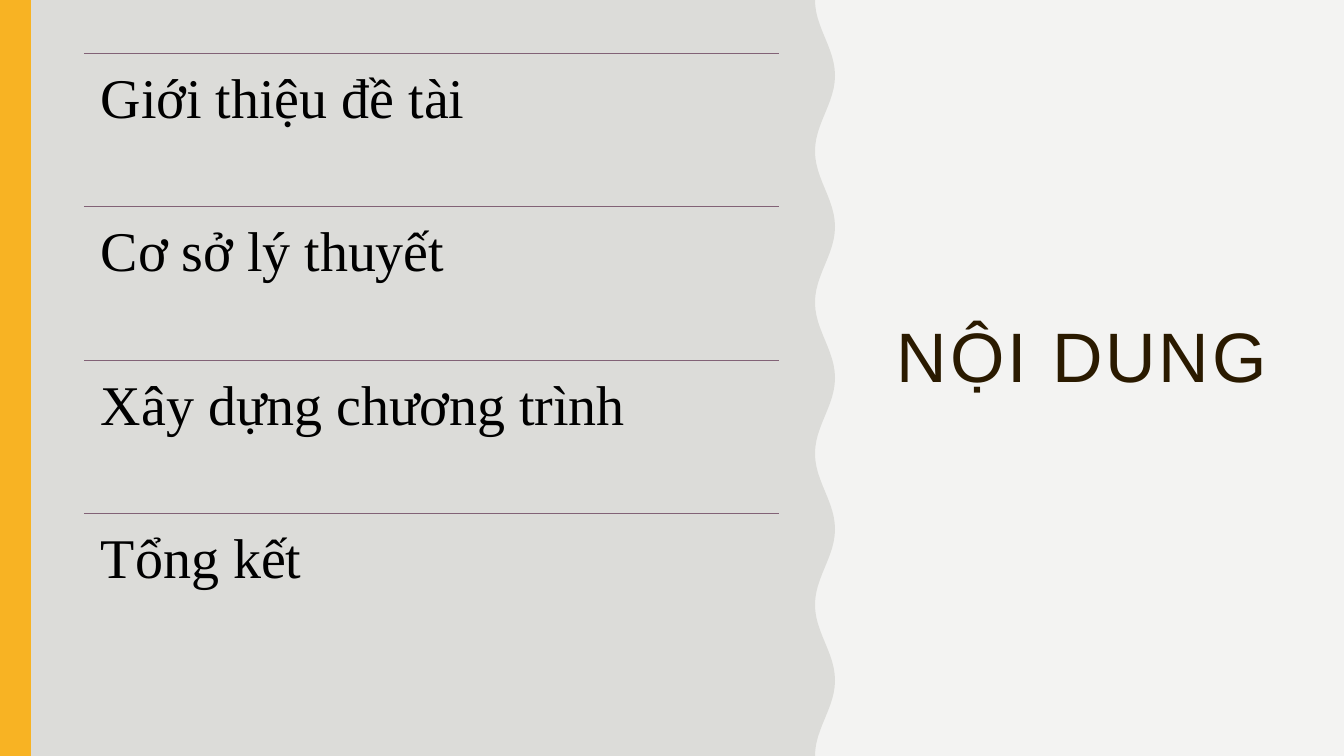
from dataclasses import dataclass
from math import cos, pi

from lxml import etree
from pptx import Presentation
from pptx.dml.color import RGBColor
from pptx.enum.shapes import MSO_CONNECTOR, MSO_SHAPE
from pptx.enum.text import MSO_ANCHOR, PP_ALIGN
from pptx.oxml.ns import qn
from pptx.util import Pt

STRAIGHT = MSO_CONNECTOR.STRAIGHT
RECTANGLE = MSO_SHAPE.RECTANGLE
TOP = MSO_ANCHOR.TOP
MIDDLE = MSO_ANCHOR.MIDDLE
LEFT = PP_ALIGN.LEFT
EMU_PER_PX = 914400 / 100.8
SLIDE_WIDTH, SLIDE_HEIGHT = 1344, 756
TOPICS = ["Giới thiệu đề tài", "Cơ sở lý thuyết", "Xây dựng chương trình", "Tổng kết"]


@dataclass(frozen=True)
class Theme:
    background: str = "F3F3F2"
    panel: str = "DCDCD9"
    accent: str = "F8B323"
    rule: str = "826276"
    title: str = "2A1A00"
    body: str = "000000"
    title_font: str = "Arial"
    body_font: str = "Times New Roman"
    title_size: int = 50
    body_size: int = 40
    rule_width: float = 0.5


THEME = Theme()


def px(length):
    return round(length * EMU_PER_PX)


def color(value):
    return RGBColor.from_string(value)


def fill_plain(shape, value):
    shape.shadow.inherit = False
    shape.fill.solid()
    shape.fill.fore_color.rgb = color(value)
    shape.line.fill.background()


def add_text(slide, box, text, font_name, size, value, anchor, inset_x, inset_y):
    text_box = slide.shapes.add_textbox(*map(px, box))
    frame = text_box.text_frame
    frame.word_wrap = True
    frame.vertical_anchor = anchor
    frame.margin_left = frame.margin_right = px(inset_x)
    frame.margin_top = frame.margin_bottom = px(inset_y)
    paragraph = frame.paragraphs[0]
    paragraph.text = text
    paragraph.alignment = LEFT
    paragraph.line_spacing = 0.9
    paragraph.font.name = font_name
    paragraph.font.size = Pt(size)
    paragraph.font.color.rgb = color(value)
    return paragraph


def add_wavy_panel(slide, box, wave_depth=20, wave_count=5, steps_per_wave=24):
    left, top, width, height = box
    trough = left + width - wave_depth
    step_count = wave_count * steps_per_wave
    edge = []
    for step in range(step_count + 1):
        swell = (1 - cos(2 * pi * step / steps_per_wave)) / 2
        edge.append((px(trough + wave_depth * swell), px(top + height * step / step_count)))
    builder = slide.shapes.build_freeform(px(left), px(top))
    builder.add_line_segments(edge + [(px(left), px(top + height))], close=True)
    fill_plain(builder.convert_to_shape(), THEME.panel)


def add_accent_bar(slide, box):
    fill_plain(slide.shapes.add_shape(RECTANGLE, *map(px, box)), THEME.accent)


def add_title(slide, box):
    paragraph = add_text(slide, box, "NỘI DUNG", THEME.title_font, THEME.title_size,
                         THEME.title, MIDDLE, 10, 5)
    paragraph.runs[0].font._element.set("spc", "200")


def add_rule(slide, left, top, width):
    rule = slide.shapes.add_connector(STRAIGHT, px(left), px(top), px(left + width), px(top))
    rule.line.color.rgb = color(THEME.rule)
    rule.line.width = Pt(THEME.rule_width)
    etree.SubElement(rule._element.spPr, qn("a:effectLst"))


def add_topics(slide, box):
    left, top, width, height = box
    row_height = height / len(TOPICS)
    for index, topic in enumerate(TOPICS):
        row_top = top + index * row_height
        add_rule(slide, left, row_top, width)
        add_text(slide, (left, row_top, width, row_height), topic, THEME.body_font,
                 THEME.body_size, THEME.body, TOP, 17, 17)


def build_contents_slide(presentation):
    slide = presentation.slides.add_slide(presentation.slide_layouts[6])
    slide.background.fill.solid()
    slide.background.fill.fore_color.rgb = color(THEME.background)
    add_wavy_panel(slide, (0, 0, 835, SLIDE_HEIGHT))
    add_accent_bar(slide, (0, 0, 31, SLIDE_HEIGHT))
    add_title(slide, (887, 53, 403, 614))
    add_topics(slide, (84, 53, 695, 614))


def main():
    presentation = Presentation()
    presentation.slide_width = px(SLIDE_WIDTH)
    presentation.slide_height = px(SLIDE_HEIGHT)
    build_contents_slide(presentation)
    presentation.save("out.pptx")


if __name__ == "__main__":
    main()
